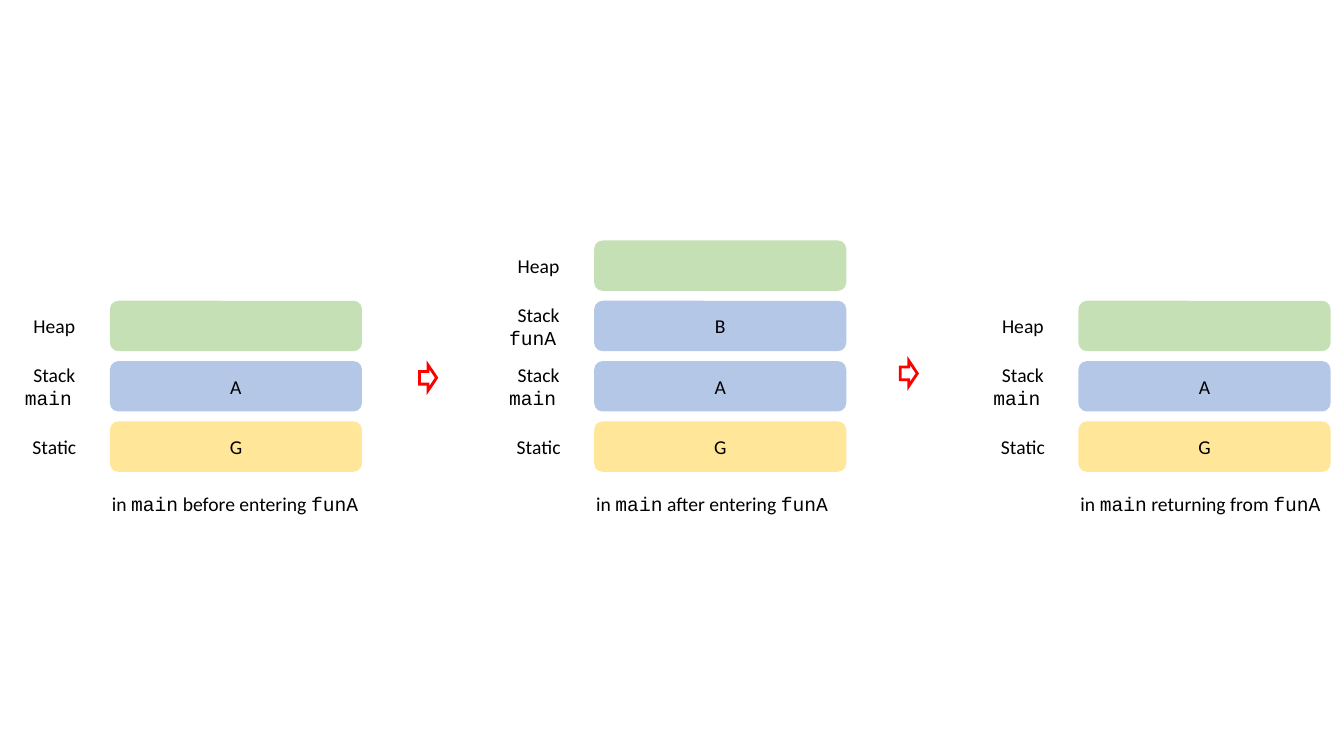
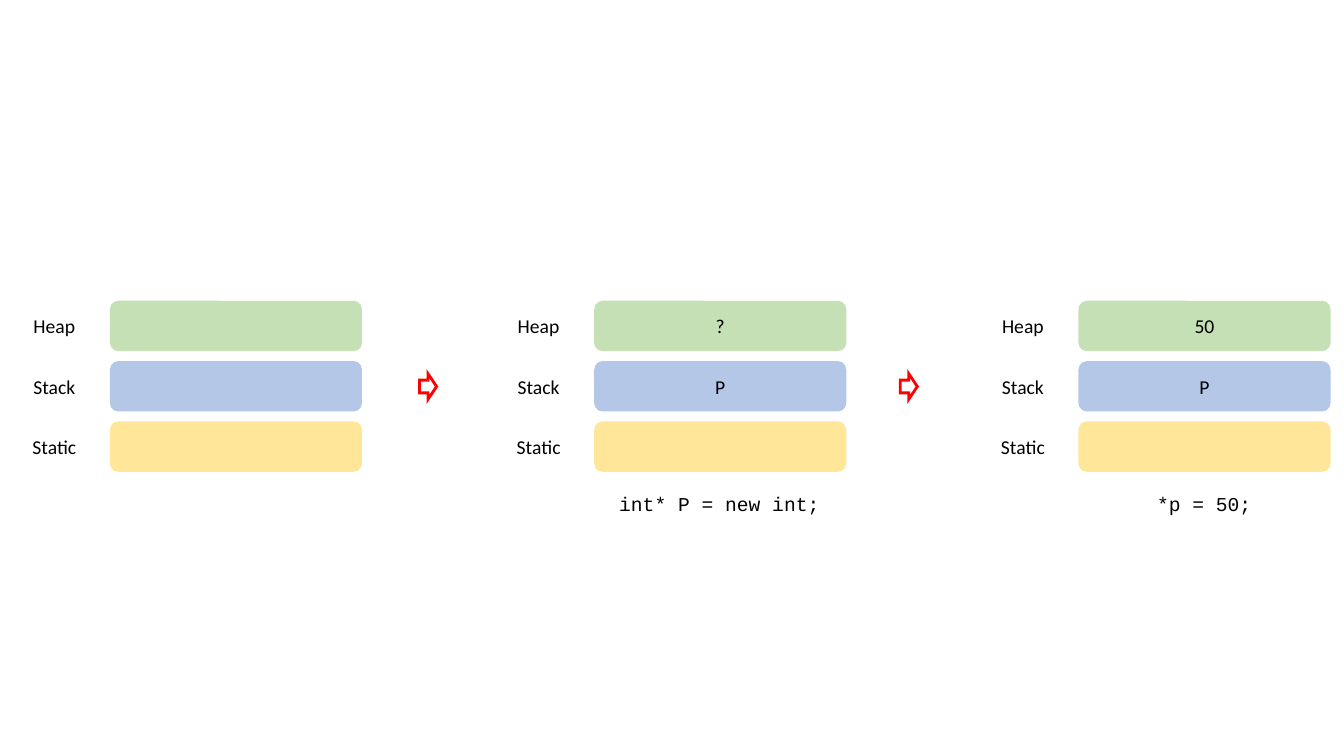
"""Build two slides that show how memory regions change while code runs."""
from lxml import etree
from pptx import Presentation
from pptx import util as u
from pptx.dml import color
from pptx.enum import shapes, text
from pptx.oxml import ns

BLACK = color.RGBColor(0x00, 0x00, 0x00)
RED = color.RGBColor(0xFF, 0x00, 0x00)
GREEN = color.RGBColor(0xC5, 0xE0, 0xB4)
BLUE = color.RGBColor(0xB4, 0xC7, 0xE7)
YELLOW = color.RGBColor(0xFF, 0xE6, 0x99)

FIRST_COLUMN, COLUMN_STEP = 2.77, 12.2
BOTTOM_ROW, ROW_STEP = 10.62, 1.52
BOX_WIDTH, ROW_HEIGHT = 6.35, 1.27
LABEL_WIDTH, LABEL_OFFSET = 2.54, -2.67
CAPTION_TOP, CAPTION_HEIGHT = 12.27, 0.86
FIRST_ARROW, ARROW_STEP = 10.57, 12.11


def write(frame, content, align=text.PP_ALIGN.CENTER,
          anchor=text.MSO_ANCHOR.MIDDLE, size=14, wrap=False):
    """Fill a text frame; parts between backticks are set in the code font."""
    frame.word_wrap = wrap
    frame.vertical_anchor = anchor
    para = frame.paragraphs[0]
    para.alignment = align
    for index, part in enumerate(content.split("`")):
        if part:
            span = para.add_run()
            span.text = part
            span.font.name = "Courier New" if index % 2 else "Calibri"
            span.font.size = u.Pt(size)
            span.font.color.rgb = BLACK


class MemoryDeck:
    """Hold the presentation, its style and the current page."""

    def __init__(self):
        self.deck = Presentation()
        self.deck.slide_width = u.Inches(13.33)
        self.deck.slide_height = u.Inches(7.5)
        self.page = None

    def add_page(self):
        self.page = self.deck.slides.add_slide(self.deck.slide_layouts[6])

    def shape(self, kind, *lengths):
        shape = self.page.shapes.add_shape(kind, *map(u.Cm, lengths))
        shape.shadow.inherit = False
        return shape

    def region(self, left, top, label, value, fill):
        box = self.shape(shapes.MSO_SHAPE.ROUNDED_RECTANGLE,
                         left, top, BOX_WIDTH, ROW_HEIGHT)
        box.fill.solid()
        box.fill.fore_color.rgb = fill
        box.line.fill.background()
        if value:
            write(box.text_frame, value, wrap=True)
        name = self.page.shapes.add_textbox(
            u.Cm(left + LABEL_OFFSET), u.Cm(top), u.Cm(LABEL_WIDTH), u.Cm(ROW_HEIGHT))
        write(name.text_frame, label)

    def caption(self, left, width, content):
        box = self.page.shapes.add_textbox(
            u.Cm(left), u.Cm(CAPTION_TOP), u.Cm(width), u.Cm(CAPTION_HEIGHT))
        write(box.text_frame, content, align=text.PP_ALIGN.LEFT,
              anchor=text.MSO_ANCHOR.TOP)
        box.text_frame.auto_size = text.MSO_AUTO_SIZE.SHAPE_TO_FIT_TEXT

    def arrow(self, left, top):
        arrow = self.shape(shapes.MSO_SHAPE.RIGHT_ARROW, left, top, 0.43, 0.64)
        arrow.fill.background()
        arrow.line.color.rgb = RED
        arrow.line.width = u.Pt(2)
        outline = arrow.element.spPr.find(ns.qn("a:ln"))
        etree.SubElement(outline, ns.qn("a:miter"), lim="800000")

    def memory_page(self, columns, arrow_tops):
        self.add_page()
        for index, (regions, caption) in enumerate(columns):
            left = FIRST_COLUMN + index * COLUMN_STEP
            for row, region in enumerate(regions):
                self.region(left, BOTTOM_ROW - row * ROW_STEP, *region)
            if caption:
                offset, width, content = caption
                self.caption(left + offset, width, content)
        for index, top in enumerate(arrow_tops):
            self.arrow(FIRST_ARROW + index * ARROW_STEP, top)


def static(value=""):
    """Describe the static region."""
    return "Static", value, YELLOW


def stack(value="", function=""):
    """Describe a stack region, with the function that owns it."""
    return f"Stack `{function} `" if function else "Stack", value, BLUE


def heap(value=""):
    """Describe the heap region."""
    return "Heap", value, GREEN


in_main = [static("G"), stack("A", "main")]
call_columns = [
    (in_main + [heap()], (-0.2, 6.75, "in `main` before entering `funA`")),
    (in_main + [stack("B", "funA"), heap()],
     (-0.2, 6.4, "in `main` after entering `funA`")),
    (in_main + [heap()], (-0.2, 6.6, "in `main` returning from `funA`")),
]
pointer_columns = [
    ([static(), stack(), heap()], None),
    ([static(), stack("P"), heap("?")], (0.38, 5.59, "`int* P = new int;`")),
    ([static(), stack("P"), heap("50")], (1.73, 2.9, "`*p = 50;`")),
]

memory = MemoryDeck()
memory.memory_page(call_columns, arrow_tops=(9.2, 9.09))
memory.memory_page(pointer_columns, arrow_tops=(9.42, 9.42))
memory.deck.save("out.pptx")
